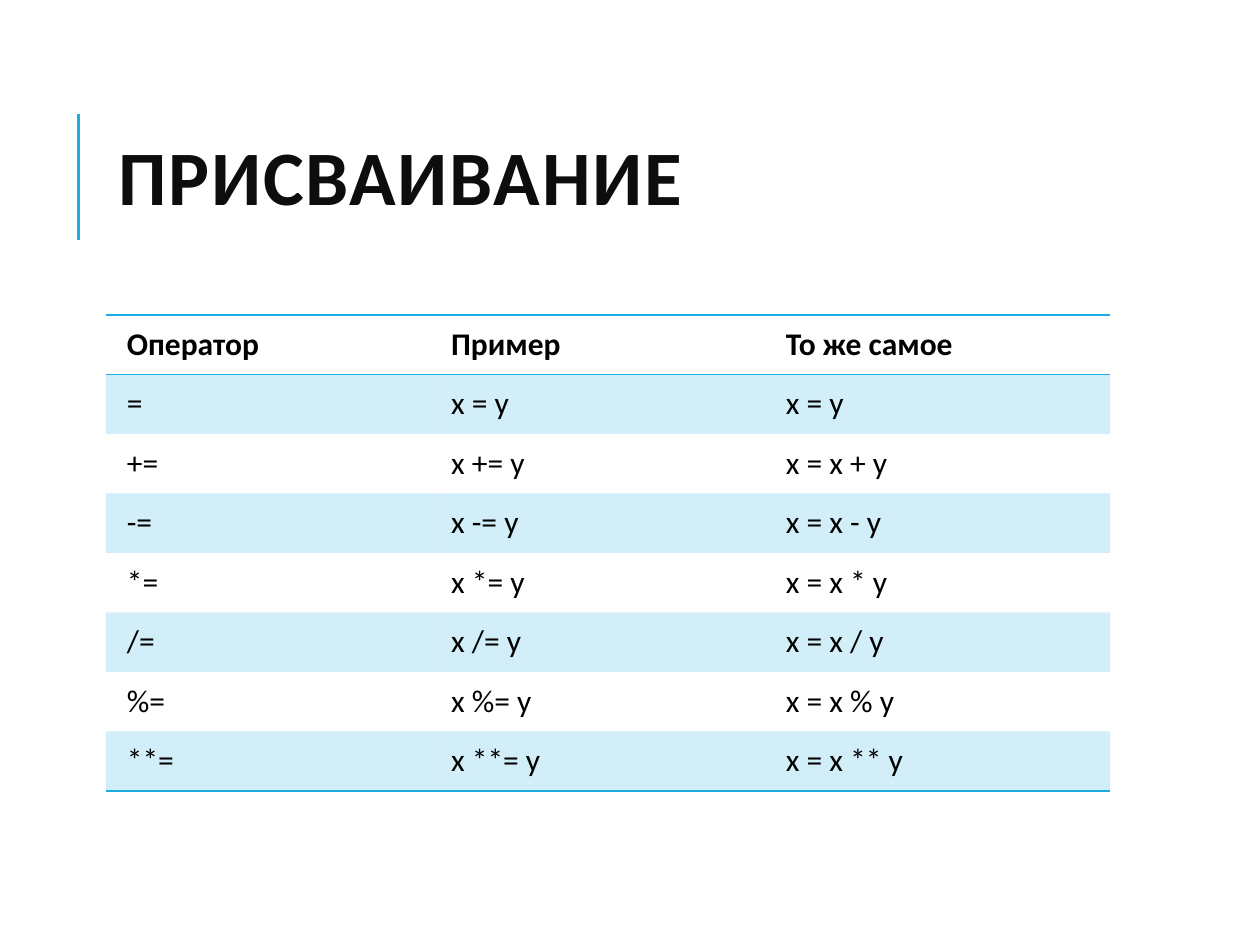
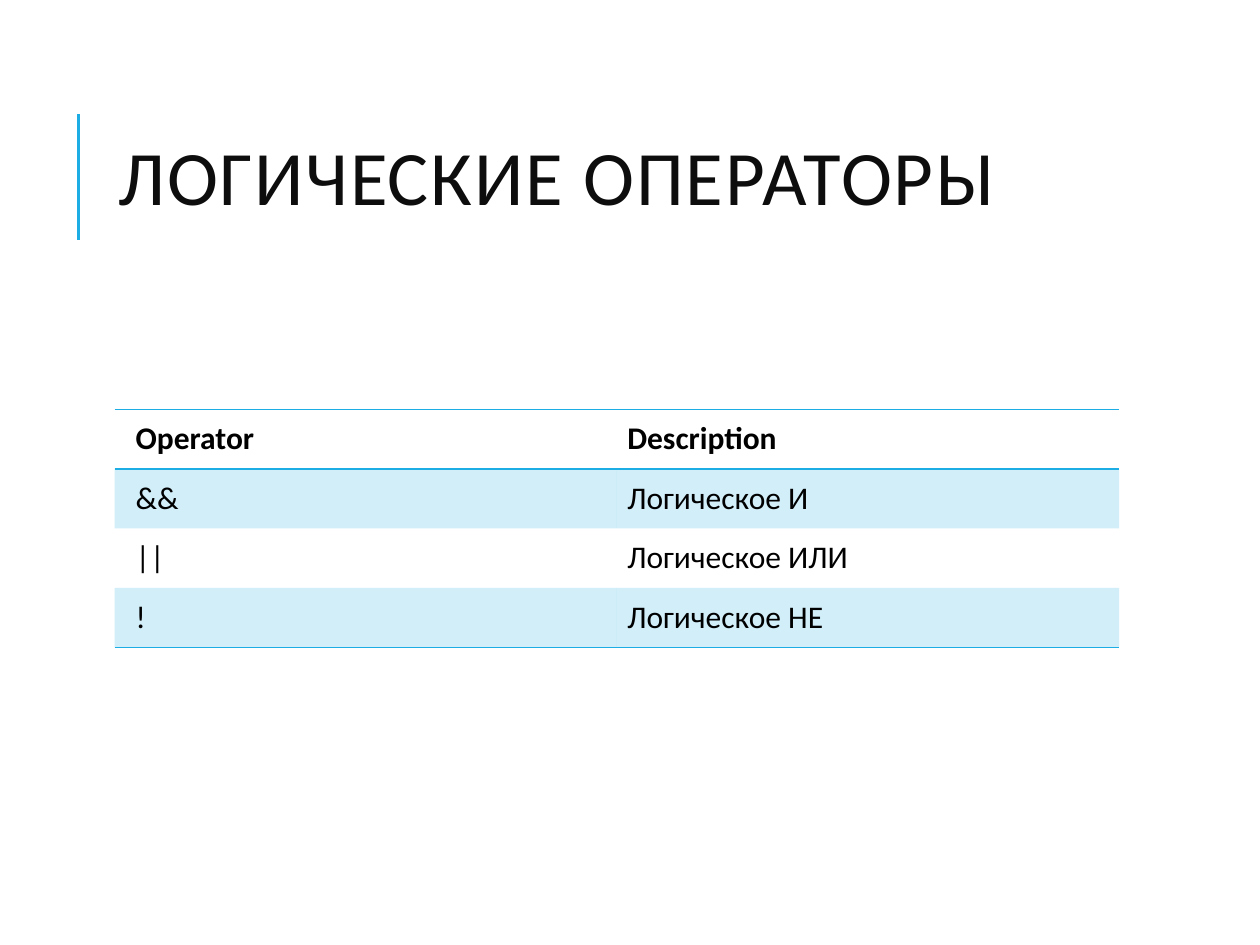
from dataclasses import dataclass

from lxml import etree
from pptx import Presentation
from pptx.dml.color import RGBColor
from pptx.enum.dml import MSO_THEME_COLOR
from pptx.enum.shapes import MSO_CONNECTOR
from pptx.enum.text import MSO_ANCHOR, MSO_AUTO_SIZE, PP_ALIGN
from pptx.oxml.ns import qn
from pptx.util import Pt

STRAIGHT = MSO_CONNECTOR.STRAIGHT
MIDDLE = MSO_ANCHOR.MIDDLE
LEFT = PP_ALIGN.LEFT
NO_AUTOFIT = MSO_AUTO_SIZE.NONE
ACCENT = MSO_THEME_COLOR.ACCENT_1
TITLE_ONLY = 5


@dataclass(frozen=True)
class Theme:
    font: str = "Calibri"
    accent: str = "1CADE4"
    title_color: str = "0D0D0D"
    text_color: str = "000000"
    band_opacity: int = 20
    title_size: int = 44
    title_spacing: int = 1
    table_size: int = 18
    title_line: float = 1.5
    table_line: float = 1
    row_height: float = 34
    table_width: float = 574
    cell_margin: float = 6
    first_margin: float = 12


class DeckBuilder:
    def __init__(self, theme):
        self.theme = theme
        self.deck = Presentation()
        self.deck.slide_width = Pt(720)
        self.deck.slide_height = Pt(540)
        self.page = None

    def add_page(self, title, bold=False):
        layout = self.deck.slide_layouts[TITLE_ONLY]
        self.page = self.deck.slides.add_slide(layout)
        self.add_title(title, bold)
        self.add_title_rule()

    def style(self, para, size, color, bold):
        para.alignment = LEFT
        para.font.name = self.theme.font
        para.font.size = Pt(size)
        para.font.bold = bold
        para.font.color.rgb = RGBColor.from_string(color)

    def add_title(self, text, bold):
        box = self.page.shapes.title
        box.left, box.top = Pt(60.5), Pt(46)
        box.width, box.height = Pt(574), Pt(118)
        frame = box.text_frame
        frame.text = text
        frame.word_wrap = True
        frame.auto_size = NO_AUTOFIT
        frame.vertical_anchor = MIDDLE
        para = frame.paragraphs[0]
        para.line_spacing = 0.8
        self.style(para, self.theme.title_size, self.theme.title_color, bold)
        properties = para.runs[0]._r.get_or_add_rPr()
        properties.set("spc", str(self.theme.title_spacing * 100))

    def add_title_rule(self):
        rule = self.page.shapes.add_connector(
            STRAIGHT, Pt(44.75), Pt(137), Pt(44.75), Pt(65))
        rule.line.color.rgb = RGBColor.from_string(self.theme.accent)
        rule.line.width = Pt(self.theme.title_line)
        etree.SubElement(rule._element.spPr, qn("a:effectLst"))

    def add_table(self, left, top, rows):
        theme = self.theme
        column_count = len(rows[0])
        frame = self.page.shapes.add_table(
            len(rows), column_count, Pt(left), Pt(top),
            Pt(theme.table_width), Pt(theme.row_height * len(rows)))
        table = frame.table
        table.first_row = table.horz_banding = False
        for column in table.columns:
            column.width = Pt(theme.table_width / column_count)
        last = len(rows) - 1
        for row, texts in enumerate(rows):
            table.rows[row].height = Pt(theme.row_height)
            for column, text in enumerate(texts):
                cell = table.cell(row, column)
                self.fill_cell(cell, text, column == 0, row == 0)
                self.set_borders(cell, top=row <= 1, bottom=row in (0, last))
                self.set_band(cell, row % 2 == 1)

    def fill_cell(self, cell, text, first_column, header):
        theme = self.theme
        cell.text = text
        cell.margin_left = Pt(theme.first_margin if first_column else theme.cell_margin)
        cell.margin_right = cell.margin_top = cell.margin_bottom = Pt(theme.cell_margin)
        self.style(cell.text_frame.paragraphs[0], theme.table_size, theme.text_color, header)

    def set_borders(self, cell, top, bottom):
        """Rule the chosen edges and clear the others; call before set_band."""
        properties = cell._tc.get_or_add_tcPr()
        edges = {"a:lnL": False, "a:lnR": False, "a:lnT": top, "a:lnB": bottom}
        for tag, ruled in edges.items():
            line = etree.SubElement(properties, qn(tag))
            if ruled:
                line.set("w", str(Pt(self.theme.table_line)))
                fill = etree.SubElement(line, qn("a:solidFill"))
                etree.SubElement(fill, qn("a:srgbClr"), val=self.theme.accent)
            else:
                etree.SubElement(line, qn("a:noFill"))

    def set_band(self, cell, shaded):
        if not shaded:
            cell.fill.background()
            return
        cell.fill.solid()
        cell.fill.fore_color.rgb = RGBColor.from_string(self.theme.accent)
        color = cell._tc.tcPr.find(qn("a:solidFill")).find(qn("a:srgbClr"))
        etree.SubElement(color, qn("a:alpha"), val=str(self.theme.band_opacity * 1000))


def main():
    builder = DeckBuilder(Theme())

    builder.add_page("ПРИСВАИВАНИЕ", bold=True)
    assignments = [("=", "x = y", "x = y")]
    for sign in ("+", "-", "*", "/", "%", "**"):
        assignments.append((f"{sign}=", f"x {sign}= y", f"x = x {sign} y"))
    builder.add_table(60.5, 180, [("Оператор", "Пример", "То же самое"), *assignments])

    builder.add_page("ЛОГИЧЕСКИЕ ОПЕРАТОРЫ")
    builder.add_table(65.5, 234, [
        ("Operator", "Description"),
        ("&&", "Логическое И"),
        ("||", "Логическое ИЛИ"),
        ("!", "Логическое НЕ"),
    ])

    builder.deck.save("out.pptx")


if __name__ == "__main__":
    main()
